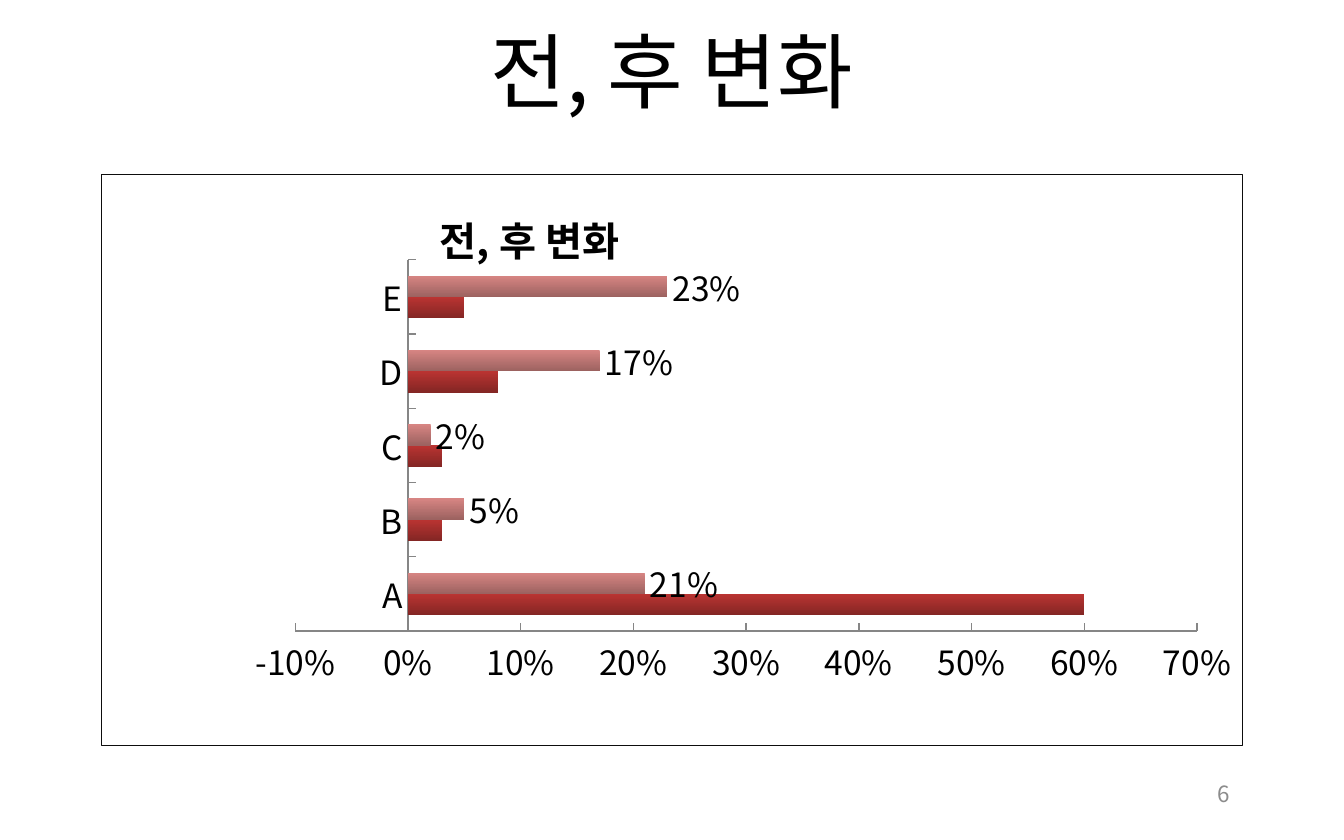
import pptx
import pptx.chart.data
import pptx.dml.color
import pptx.enum.chart
import pptx.enum.text
import pptx.oxml
import pptx.oxml.ns
import pptx.util
from lxml import etree
from dataclasses import dataclass

Cm = pptx.util.Cm
Pt = pptx.util.Pt
RGB = pptx.dml.color.RGBColor.from_string
qn = pptx.oxml.ns.qn
ALIGN = pptx.enum.text.PP_ALIGN


@dataclass(frozen=True)
class Theme:
    font: str = "Noto Sans CJK KR"
    text: str = "000000"
    muted: str = "8C8C8C"
    axis: str = "868686"
    border: str = "0D0D0D"
    before: tuple = ("BA3432", "842624")
    after: tuple = ("D78583", "9C6260")
    title: float = 44
    chart_title: float = 21.6
    body: float = 18
    small: float = 12


class SlideBuilder:
    def __init__(self, slide, theme):
        self.s = slide
        self.theme = theme

    def style(self, font, size, color, bold=False):
        font.size = Pt(size)
        font.bold = bold
        font.color.rgb = RGB(color)
        font.name = self.theme.font
        latin = font._element.find(qn("a:latin"))
        ea = etree.Element(qn("a:ea"), typeface=self.theme.font)
        latin.addnext(ea)

    def text(self, text, box, size, color, align):
        sp = self.s.shapes.add_textbox(*map(Cm, box))
        tf = sp.text_frame
        tf.word_wrap = True
        tf.vertical_anchor = pptx.enum.text.MSO_ANCHOR.MIDDLE
        p = tf.paragraphs[0]
        p.alignment = align
        r = p.add_run()
        r.text = text
        self.style(r.font, size, color)

    def layout(self, parent, index, **values):
        for old in parent.findall(qn("c:layout")):
            parent.remove(old)
        layout = etree.Element(qn("c:layout"))
        manual = etree.SubElement(layout, qn("c:manualLayout"))
        for tag, val in values.items():
            etree.SubElement(manual, qn(f"c:{tag}"), val=str(val))
        parent.insert(index, layout)

    def border(self, chart, color, width):
        ns = pptx.oxml.ns.nsdecls("c", "a")
        sppr = pptx.oxml.parse_xml(
            f'<c:spPr {ns}><a:noFill/><a:ln w="{Pt(width)}"><a:solidFill>'
            f'<a:srgbClr val="{color}"/></a:solidFill></a:ln></c:spPr>')
        chart._chartSpace.find(qn("c:chart")).addnext(sppr)

    def axis(self, axis):
        axis.has_major_gridlines = False
        axis.major_tick_mark = pptx.enum.chart.XL_TICK_MARK.INSIDE
        axis.minor_tick_mark = pptx.enum.chart.XL_TICK_MARK.NONE
        axis.format.line.color.rgb = RGB(self.theme.axis)
        axis.format.line.width = Pt(0.75)

    def gradient(self, series, colors):
        fill = series.format.fill
        fill.gradient()
        fill.gradient_angle = 270
        for stop, color, position in zip(fill.gradient_stops, colors, (0, 1)):
            stop.color.rgb = RGB(color)
            stop.position = position
        series.invert_if_negative = False

    def bar_chart(self, title, categories, series, box):
        t = self.theme
        data = pptx.chart.data.CategoryChartData(number_format="0%")
        data.categories = categories
        for name, values, _ in series:
            data.add_series(name, values)
        chart = self.s.shapes.add_chart(
            pptx.enum.chart.XL_CHART_TYPE.BAR_CLUSTERED, *map(Cm, box), data).chart
        self.style(chart.font, t.body, t.text)
        self.border(chart, t.border, 0.75)
        chart.has_legend = False

        chart.has_title = True
        p = chart.chart_title.text_frame.paragraphs[0]
        r = p.add_run()
        r.text = title
        self.style(r.font, t.chart_title, t.text, bold=True)
        self.layout(chart.chart_title._element, 1, xMode="edge", yMode="edge", x=0.29, y=0.04)
        chart.chart_title.include_in_layout = False

        plot = chart.plots[0]
        plot.gap_width = 150
        plot.overlap = 0
        plot.vary_by_categories = False
        self.layout(chart._chartSpace.chart.plotArea, 0, layoutTarget="inner",
                    xMode="edge", yMode="edge", x=0.17, y=0.15, w=0.79, h=0.65)
        for item, (_, _, colors) in zip(plot.series, series):
            self.gradient(item, colors)

        self.axis(chart.category_axis)
        value = chart.value_axis
        self.axis(value)
        value.minimum_scale = -0.1
        value.maximum_scale = 0.7
        value.major_unit = 0.1
        value.tick_labels.number_format = "0%"
        value.tick_labels.number_format_is_linked = False

        labels = plot.series[1].data_labels
        labels.show_value = True
        labels.number_format = "0%"
        labels.number_format_is_linked = False
        labels.position = pptx.enum.chart.XL_LABEL_POSITION.OUTSIDE_END
        self.style(labels.font, t.body, t.text)


def main():
    prs = pptx.Presentation()
    prs.slide_width = Cm(25.4)
    prs.slide_height = Cm(15.875)
    theme = Theme()
    slide = SlideBuilder(prs.slides.add_slide(prs.slide_layouts[6]), theme)
    title = "전, 후 변화"

    slide.text(title, (0, 0, 25.4, 2.64), theme.title, theme.text, ALIGN.CENTER)
    slide.bar_chart(
        title, ["A", "B", "C", "D", "E"],
        [("실시전", (0.6, 0.03, 0.03, 0.08, 0.05), theme.before),
         ("실시후", (0.21, 0.05, 0.02, 0.17, 0.23), theme.after)],
        (1.9, 3.28, 21.6, 10.82))
    slide.text("6", (18.2, 14.46, 5.3, 1.06), theme.small, theme.muted, ALIGN.RIGHT)
    prs.save("out.pptx")


if __name__ == "__main__":
    main()
